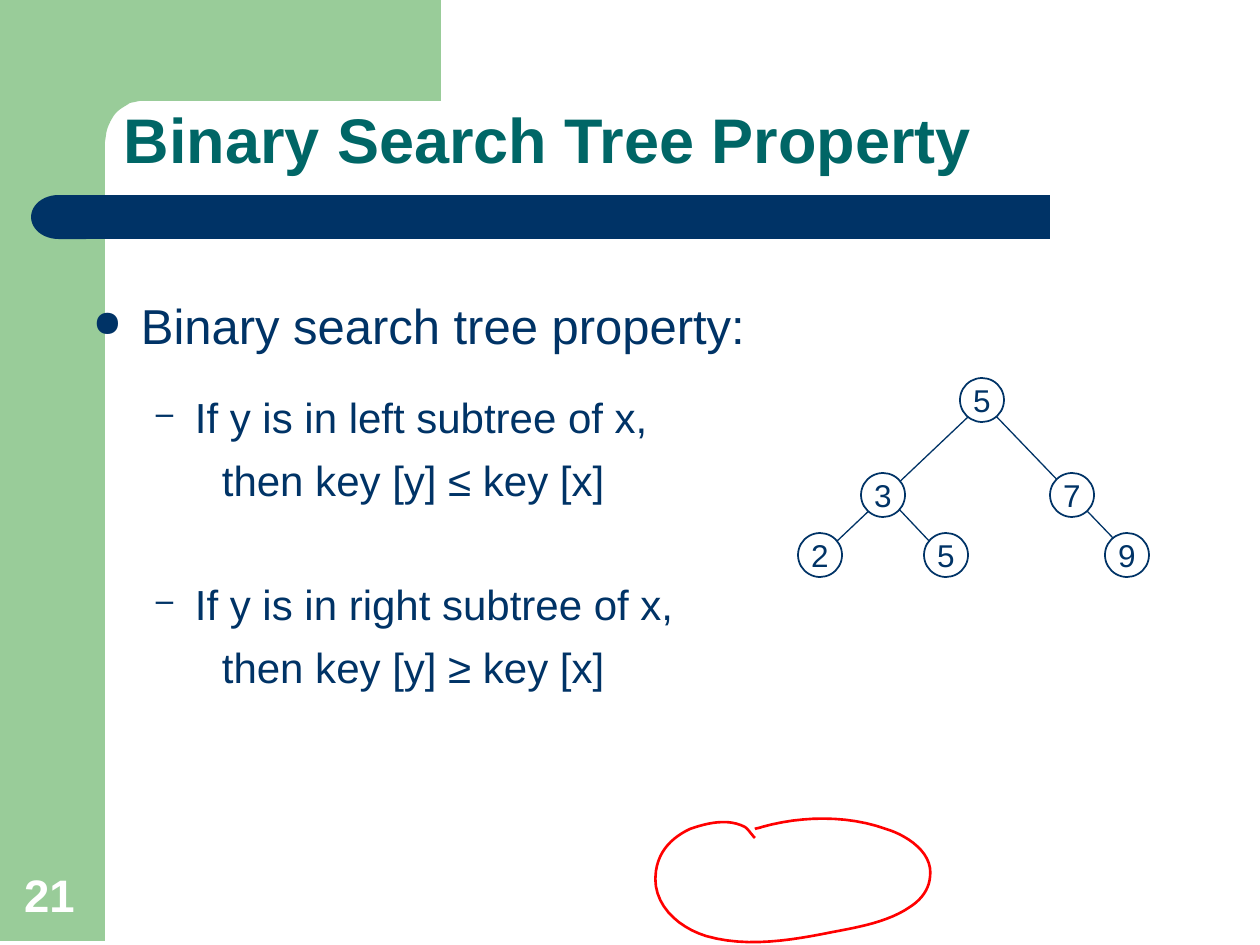
"""Build the slide on the binary search tree property."""
import dataclasses

import lxml.etree
import pptx
import pptx.dml.color
import pptx.enum.shapes
import pptx.enum.text
import pptx.oxml.ns
import pptx.util

SHAPE = pptx.enum.shapes.MSO_SHAPE
ANCHOR = pptx.enum.text.MSO_ANCHOR
ALIGN = pptx.enum.text.PP_ALIGN
qn = pptx.oxml.ns.qn


@dataclasses.dataclass(frozen=True)
class Theme:
    font: str = "Arial"
    navy: str = "003366"
    teal: str = "006666"
    green: str = "99CC99"
    white: str = "FFFFFF"
    red: str = "FF0000"
    title: int = 36
    head: int = 28
    body: int = 24
    page: int = 26
    node: int = 18


def emu(px):
    return round(px * 914400 / 126)


def rgb(code):
    return pptx.dml.color.RGBColor.from_string(code)


def bullet(para, mark, color):
    props = para._p.get_or_add_pPr()
    tint = lxml.etree.SubElement(props, qn("a:buClr"))
    lxml.etree.SubElement(tint, qn("a:srgbClr"), val=color)
    lxml.etree.SubElement(props, qn("a:buSzPct"), val="75000")
    lxml.etree.SubElement(props, qn("a:buChar"), char=mark)


def write(para, text, *, size, color, font, bold=False, align=ALIGN.LEFT,
          before=0, line=None, left=0, hang=0, mark=None):
    props = para._p.get_or_add_pPr()
    props.set("marL", str(emu(left)))
    props.set("indent", str(emu(-hang)))
    if mark:
        bullet(para, mark, color)
    para.alignment = align
    para.space_before = pptx.util.Pt(before)
    if line:
        para.line_spacing = line
    run = para.add_run()
    run.text = text
    run.font.name = font
    run.font.size = pptx.util.Pt(size)
    run.font.bold = bold
    run.font.color.rgb = rgb(color)


def trace(start, curves, steps=12):
    points = [start]
    for a, b, c in curves:
        p = points[-1]
        for i in range(1, steps + 1):
            t = i / steps
            u = 1 - t
            points.append(tuple(
                u**3 * p[k] + 3 * u * u * t * a[k] + 3 * u * t * t * b[k] + t**3 * c[k]
                for k in (0, 1)))
    return points


class Deck:
    def __init__(self, theme):
        self.theme = theme
        self.prs = pptx.Presentation()
        self.prs.slide_width = emu(1260)
        self.prs.slide_height = emu(945)
        self.slide = self.prs.slides.add_slide(self.prs.slide_layouts[6])
        self.shapes = self.slide.shapes

    def paint(self, shape, fill=None, line=None, width=1):
        shape.shadow.inherit = False
        if fill:
            shape.fill.solid()
            shape.fill.fore_color.rgb = rgb(fill)
        else:
            shape.fill.background()
        if line:
            shape.line.color.rgb = rgb(line)
            shape.line.width = pptx.util.Pt(width)
        else:
            shape.line.fill.background()

    def block(self, box, kind=SHAPE.RECTANGLE, **look):
        shape = self.shapes.add_shape(kind, *map(emu, box))
        self.paint(shape, **look)
        return shape

    def free(self, points, close=False, **look):
        ends = [(emu(x), emu(y)) for x, y in points]
        pen = self.shapes.build_freeform(*ends[0])
        pen.add_line_segments(ends[1:], close=close)
        self.paint(pen.convert_to_shape(), **look)

    def text(self, box, paras, anchor=ANCHOR.TOP, left=9, top=6):
        frame = self.shapes.add_textbox(*map(emu, box)).text_frame
        frame.word_wrap = True
        frame.vertical_anchor = anchor
        frame.margin_left = emu(left)
        frame.margin_top = emu(top)
        for i, (words, style) in enumerate(paras):
            para = frame.add_paragraph() if i else frame.paragraphs[0]
            write(para, words, font=self.theme.font, **style)

    def edge(self, ends):
        line = self.shapes.add_connector(
            pptx.enum.shapes.MSO_CONNECTOR.STRAIGHT, *map(emu, ends))
        line.line.color.rgb = rgb(self.theme.navy)
        line.line.width = pptx.util.Pt(0.75)
        lxml.etree.SubElement(line._element.spPr, qn("a:effectLst"))

    def node(self, key, x, y, size=44):
        look = self.theme
        shape = self.block((x, y, size, size), SHAPE.OVAL,
                           fill=look.white, line=look.navy)
        frame = shape.text_frame
        frame.word_wrap = False
        frame.vertical_anchor = ANCHOR.MIDDLE
        write(frame.paragraphs[0], key, size=look.node, color=look.navy,
              font=look.font, align=ALIGN.CENTER)


def main():
    look = Theme()
    deck = Deck(look)

    deck.block((0, -4, 105, 945), fill=look.green)
    bend = trace((130, 103), [
        ((126, 106), (121, 108), (117, 112)),
        ((113, 116), (110, 122), (108, 127)),
        ((106, 132), (106, 137), (105, 142))])
    deck.free([(441, -4), (441, 101), (140, 101), *bend,
               (105, 158), (63, 158), (63, -4)], close=True, fill=look.green)
    deck.block((84, 195, 966, 44), fill=look.navy)
    cap = deck.block((31, 195, 55, 44), SHAPE.FLOWCHART_DELAY, fill=look.navy)
    cap.rotation = 180

    deck.text((115, 45, 1072, 138), [
        ("Binary Search Tree Property",
         dict(size=look.title, color=look.teal, bold=True, line=0.9))],
        anchor=ANCHOR.BOTTOM)

    head = dict(size=look.head, color=look.navy, left=48, hang=48, mark="●")
    base = dict(size=look.body, color=look.navy)
    item = dict(base, left=102, hang=39, mark="–")
    rule = dict(base, left=129, before=7.2)
    deck.text((84, 284, 771, 515), [
        ("Binary search tree property:", head),
        ("If y is in left subtree of x,", dict(item, before=21)),
        ("then key [y] ≤ key [x]", rule),
        ("If y is in right subtree of x,", dict(item, before=42)),
        ("then key [y] ≥ key [x]", rule)], top=12)

    for ends in [(948, 561, 881, 490), (1138, 564, 970, 389), (816, 561, 987, 399)]:
        deck.edge(ends)
    for key, x, y in [("2", 798, 533), ("3", 861, 473), ("5", 924, 533),
                      ("5", 960, 378), ("7", 1050, 473), ("9", 1105, 533)]:
        deck.node(key, x, y)

    deck.text((11, 861, 81, 67), [
        ("21", dict(size=look.page, color=look.white, bold=True))],
        anchor=ANCHOR.BOTTOM, left=13)

    loop = trace((755, 838), [
        ((751, 834), (749, 830), (745, 827)),
        ((728, 818), (707, 823), (690, 829)),
        ((673, 837), (659, 850), (656, 871)),
        ((651, 903), (677, 927), (706, 936)),
        ((747, 948), (793, 940), (833, 932)),
        ((859, 927), (888, 922), (910, 907)),
        ((924, 898), (932, 885), (930, 868)),
        ((927, 848), (903, 834), (886, 829)),
        ((847, 815), (801, 816), (762, 827)),
        ((760, 828), (757, 828), (755, 829))])
    deck.free(loop, line=look.red, width=1.5)

    deck.prs.save("out.pptx")


if __name__ == "__main__":
    main()
